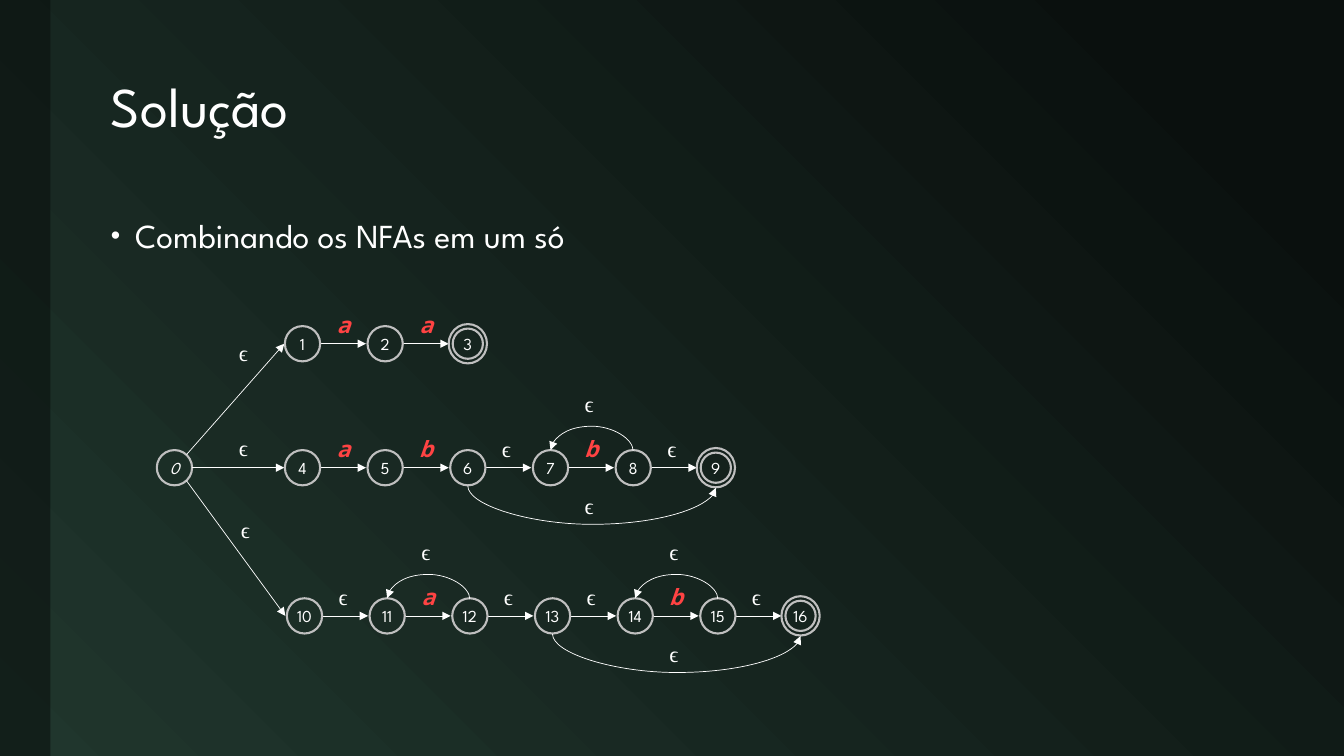
from lxml.etree import SubElement
from pptx import Presentation
from pptx.dml.color import RGBColor
from pptx.enum.shapes import MSO_CONNECTOR as LINK, MSO_SHAPE as SHAPE
from pptx.enum.text import MSO_ANCHOR as ANCHOR, MSO_AUTO_SIZE as FIT, PP_ALIGN as ALIGN
from pptx.oxml.ns import qn
from pptx.util import Inches, Pt

COLORS = {name: RGBColor.from_string(value) for name, value in {
    "dark": "0A100E", "green": "20362D", "white": "FFFFFF",
    "ring": "BFBFBF", "symbol": "FF4343"}.items()}
PITCH = 0.82    # distance between neighbouring states
RADIUS = 0.18

deck = Presentation()
deck.slide_width, deck.slide_height = Inches(13.33), Inches(7.5)
page = deck.slides.add_slide(deck.slide_layouts[1])

# Background gradient and left band
backdrop = page.background.fill
backdrop.gradient()
backdrop.gradient_angle = 225
for stop, position, color in zip(backdrop.gradient_stops, (0.1, 1), ("dark", "green")):
    stop.position = position
    stop.color.rgb = COLORS[color]

band = page.shapes.add_shape(SHAPE.RECTANGLE, 0, 0, Inches(0.5), deck.slide_height)
band.shadow.inherit = False
band.fill.solid()
band.fill.fore_color.rgb = COLORS["dark"]
band.line.fill.background()
SubElement(band.fill._xPr.find(".//" + qn("a:srgbClr")), qn("a:alpha"), val="60000")

# Title and bullet
title, body = page.placeholders
for box, text, top, height, size, spacing, anchor in (
        (title, "Solução", 0.42, 1.33, 40, 0.9, ANCHOR.MIDDLE),
        (body, "Combinando os NFAs em um só", 2, 4.83, 24, 1.2, ANCHOR.TOP)):
    box.left, box.top = Inches(1), Inches(top)
    box.width, box.height = Inches(11.65), Inches(height)
    frame = box.text_frame
    frame.text = text
    frame.auto_size = FIT.NONE
    frame.vertical_anchor = anchor
    para = frame.paragraphs[0]
    para.alignment = ALIGN.LEFT
    para.line_spacing = spacing
    para.font.name, para.font.size = "League Spartan", Pt(size)
    para.font.color.rgb = COLORS["white"]

bullet = body.text_frame.paragraphs[0]
bullet.space_before = Pt(18)
bullet_format = bullet._p.get_or_add_pPr()
bullet_format.set("marL", str(Inches(0.24)))
bullet_format.set("indent", str(Inches(-0.24)))
bullet_size = SubElement(bullet_format, qn("a:buSzPct"), val="80000")
bullet_mark = SubElement(bullet_format, qn("a:buChar"), char="•")
bullet_format.find(qn("a:defRPr")).addprevious(bullet_size)
bullet_format.find(qn("a:defRPr")).addprevious(bullet_mark)

diagram = page.shapes.add_group_shape().shapes


def add_arrow(kind, start, end, label, label_at):
    """Draw a transition with its label and return the connector."""
    arrow = diagram.add_connector(kind, *map(Inches, (*start, *end)))
    arrow.line.color.rgb = COLORS["white"]
    arrow.line.width = Pt(0.5)
    SubElement(arrow.line._get_or_add_ln(), qn("a:tailEnd"), type="triangle")
    SubElement(arrow._element.spPr, qn("a:effectLst"))

    box = diagram.add_textbox(*map(Inches, (*label_at, 0.32, 0.37)))
    frame = box.text_frame
    frame.text = label
    frame.word_wrap = label == "ϵ"
    frame.auto_size = FIT.SHAPE_TO_FIT_TEXT
    font = frame.paragraphs[0].font
    font.size = Pt(16)
    if label == "ϵ":
        font.name = "Times New Roman"
        font.color.rgb = COLORS["white"]
    else:
        font.name = "Noto Sans Mono"
        font.bold = font.italic = True
        font.color.rgb = COLORS["symbol"]
    return arrow


def add_state(x, y, width, height, label=""):
    """Draw a circle centred on x, y."""
    circle = diagram.add_shape(SHAPE.OVAL, *map(
        Inches, (x - width / 2, y - height / 2, width, height)))
    circle.shadow.inherit = False
    circle.fill.background()
    circle.line.color.rgb = COLORS["ring"]
    circle.line.width = Pt(1.5)
    if label:
        frame = circle.text_frame
        frame.text = label
        frame.margin_left = frame.margin_right = frame.margin_top = frame.margin_bottom = 0
        frame.vertical_anchor = ANCHOR.MIDDLE
        para = frame.paragraphs[0]
        para.alignment = ALIGN.CENTER
        para.font.name, para.font.size = "League Spartan", Pt(12)
        para.font.italic = label == "0"
        para.font.color.rgb = COLORS["white"]


# Start state and its three branches
add_state(1.73, 4.64, 0.35, 0.35, "0")
for start, end, label_at in (
        ((1.85, 4.51), (2.82, 3.41), (2.27, 3.32)),
        ((1.9, 4.64), (2.82, 4.64), (2.27, 4.26)),
        ((1.85, 4.77), (2.83, 6.11), (2.29, 5.07))):
    add_arrow(LINK.STRAIGHT, start, end, "ϵ", label_at)

# Each automaton: first state, centre of it, symbols, curves (from, to) by column
for first, left, y, symbols, curves in (
        (1, 3, 3.41, "aa", ()),
        (4, 3, 4.64, "abϵbϵ", ((4, 3), (2, 5))),
        (10, 3.02, 6.11, "ϵaϵϵbϵ", ((2, 1), (5, 4), (3, 6)))):
    centers = [left + PITCH * column for column in range(len(symbols) + 1)]
    for x, symbol in zip(centers, symbols):
        add_arrow(LINK.STRAIGHT, (x + RADIUS, y), (x + PITCH - RADIUS - 0.01, y),
                  symbol, (x + 0.24, y - 0.37))
    for column, x in enumerate(centers[:-1]):
        add_state(x, y, 0.35, 0.35, str(first + column))
    add_state(centers[-1], y, 0.38, 0.39)
    add_state(centers[-1], y, 0.3, 0.3, str(first + len(symbols)))

    # A backward curve arches over the row, a forward one under it
    for origin, target in curves:
        over = origin > target
        sign, depth, bend, middle_y, label_y = (
            (1, 0.01, 25, y - 0.17, y - 0.82) if over else (-1, 0.02, 19, y + 0.19, y + 0.19))
        middle_x = (centers[origin] + centers[target]) / 2
        half_depth = sign * depth / 2
        half_span = sign * abs(centers[origin] - centers[target]) / 2
        curve = add_arrow(LINK.CURVE, (middle_x - half_depth, middle_y + half_span),
                          (middle_x + half_depth, middle_y - half_span),
                          "ϵ", (middle_x - 0.17, label_y))
        shape_format = curve._element.spPr
        shape_format.find(qn("a:xfrm")).set("rot", str(270 * 60000))
        adjustments = shape_format.find(qn("a:prstGeom")).find(qn("a:avLst"))
        SubElement(adjustments, qn("a:gd"), name="adj1", fmla=f"val {bend * 100000}")

deck.save("out.pptx")
